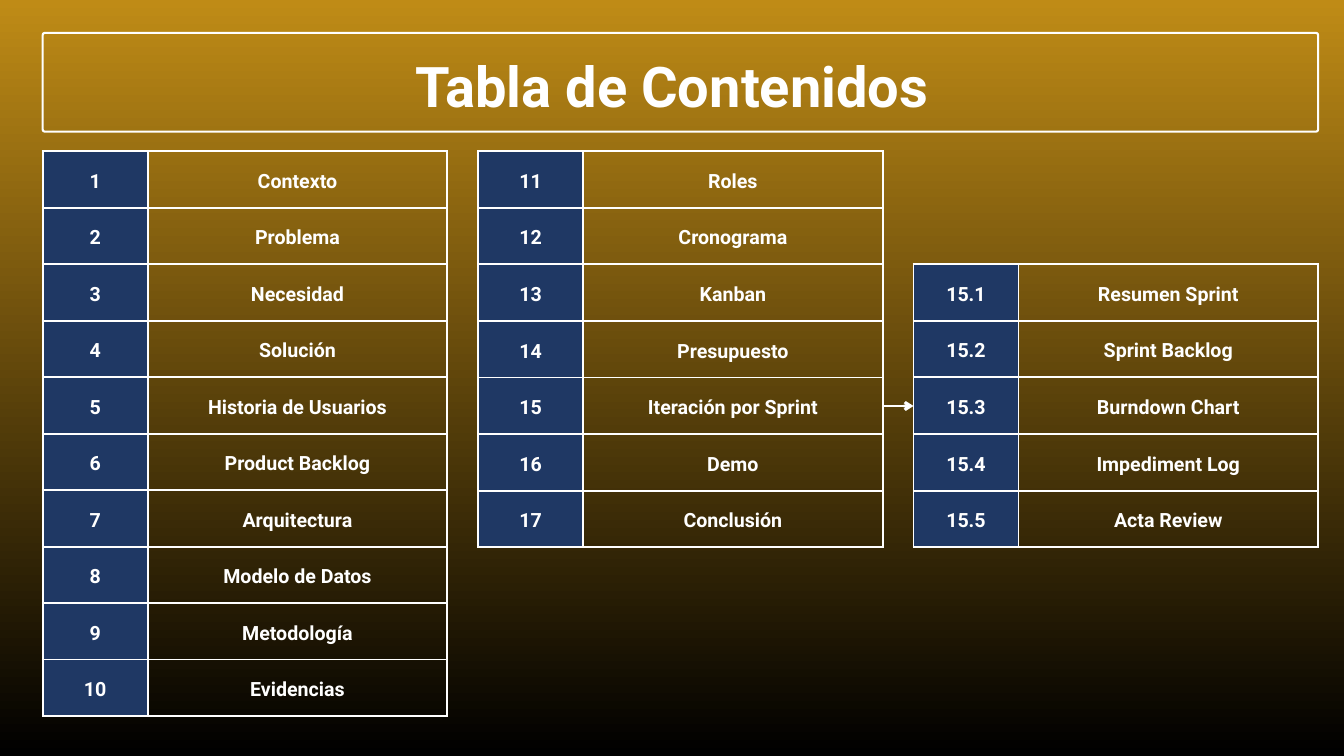
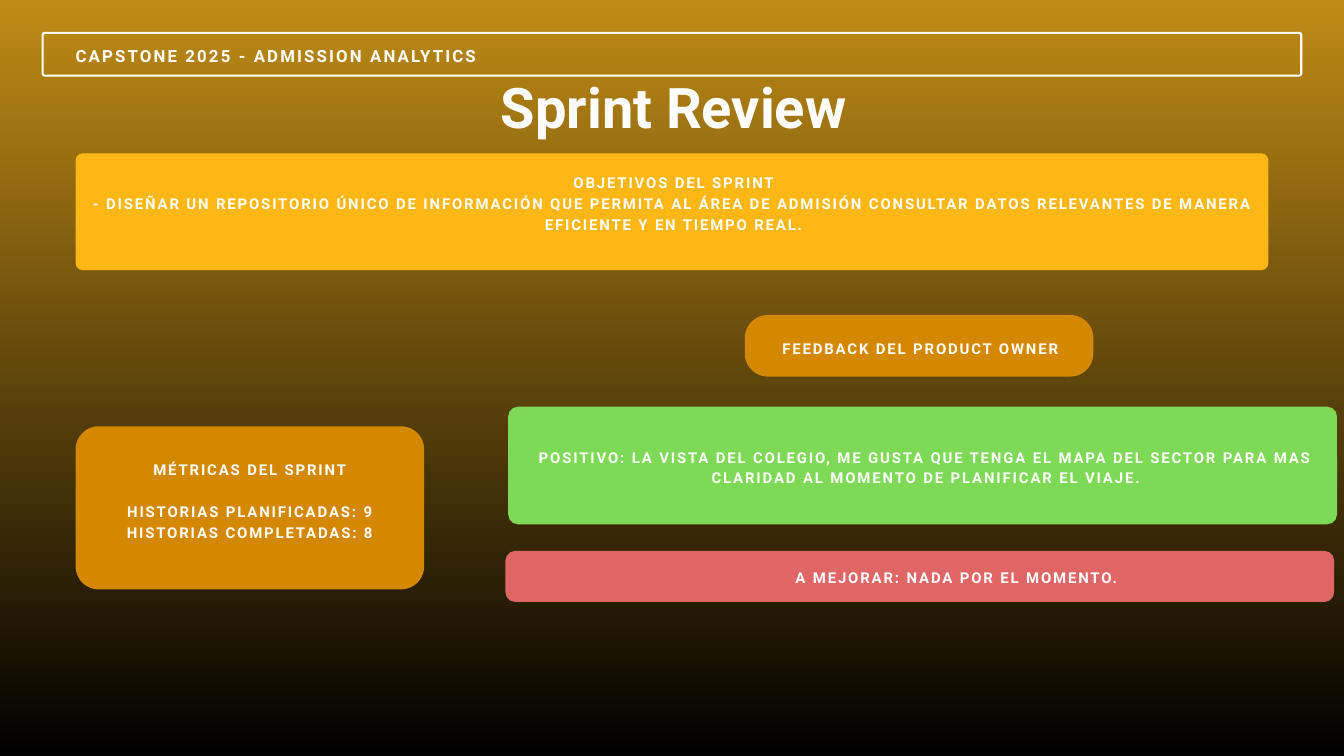
from dataclasses import dataclass, field

from lxml import etree
from pptx import Presentation
from pptx import util as u
from pptx.dml import color
from pptx.enum import shapes, text
from pptx.oxml import ns


@dataclass(frozen=True)
class Theme:
    font: str = "Roboto"
    white: str = "FFFFFF"
    night: str = "000000"
    gold: str = "BF8B16"
    navy: str = "1F3864"
    amber: str = "FFB716"
    ochre: str = "D48800"
    green: str = "7ED957"
    red: str = "E06666"
    outline: float = 2.25
    arrow: float = 3
    title: dict = field(default_factory=lambda: {"size": 60, "leading": 84, "tracking": 0})
    entry: dict = field(default_factory=lambda: {"size": 21, "leading": 29.4, "tracking": 0})
    header: dict = field(default_factory=lambda: {"size": 18, "leading": 25.2, "tracking": 2.3})
    body: dict = field(default_factory=lambda: {"size": 16, "leading": 22.4, "tracking": 2})


THEME = Theme()
CENTER = text.PP_ALIGN.CENTER


def px(count):
    return u.Emu(round(count * 9525))


def rgb(code):
    return color.RGBColor.from_string(code)


def apply(target, values):
    for name, value in values.items():
        setattr(target, name, value)


def within(box, inner):
    return (box[0] + inner[0], box[1] + inner[1], inner[2], inner[3])


def add_page(deck):
    page = deck.slides.add_slide(deck.slide_layouts[6])
    backdrop = page.background.fill
    backdrop.gradient()
    backdrop.gradient_angle = 90
    for stop, code in zip(backdrop.gradient_stops, (THEME.night, THEME.gold)):
        stop.color.rgb = rgb(code)
    for stop, position in zip(backdrop.gradient_stops, (0, 1)):
        stop.position = position
    return page


def write_line(paragraph, words, style, align=CENTER, before=0):
    apply(paragraph, {"alignment": align, "line_spacing": u.Pt(style["leading"]),
                      "space_before": u.Pt(before)})
    run = paragraph.add_run()
    run.text = words
    apply(run.font, {"name": THEME.font, "size": u.Pt(style["size"]), "bold": True})
    run.font.color.rgb = rgb(THEME.white)
    if style["tracking"]:
        run.font._element.set("spc", str(round(style["tracking"] * 100)))


def add_copy(page, box, lines, style, align=CENTER, gap_at=None):
    frame = page.shapes.add_textbox(*map(px, box)).text_frame
    apply(frame, {"word_wrap": True, "auto_size": text.MSO_AUTO_SIZE.SHAPE_TO_FIT_TEXT,
                  "margin_left": 0, "margin_right": 0, "margin_top": 0, "margin_bottom": 0})
    for index, words in enumerate(lines):
        paragraph = frame.add_paragraph() if index else frame.paragraphs[0]
        before = style["leading"] if index == gap_at else 0
        write_line(paragraph, words, style, align, before)


def add_rounded(page, box, radius, fill=None):
    panel = page.shapes.add_shape(shapes.MSO_SHAPE.ROUNDED_RECTANGLE, *map(px, box))
    panel.shadow.inherit = False
    panel.adjustments[0] = radius / min(box[2:])
    if fill:
        panel.fill.solid()
        panel.fill.fore_color.rgb = rgb(fill)
        panel.line.fill.background()
    else:
        panel.fill.background()
        panel.line.color.rgb = rgb(THEME.white)
        panel.line.width = u.Pt(THEME.outline)


def add_panel(page, box, fill, radius, inner, lines, gap_at=None):
    add_rounded(page, box, radius, fill)
    add_copy(page, within(box, inner), lines, THEME.body, gap_at=gap_at)


def add_borders(cell):
    properties = cell._tc.get_or_add_tcPr()
    for index, side in enumerate(("lnL", "lnR", "lnT", "lnB")):
        border = etree.Element(ns.qn(f"a:{side}"), w=str(u.Pt(THEME.outline)))
        solid = etree.SubElement(border, ns.qn("a:solidFill"))
        etree.SubElement(solid, ns.qn("a:srgbClr"), val=THEME.white)
        properties.insert(index, border)


def add_contents(page, box, entries):
    contents = page.shapes.add_table(len(entries), 2, *map(px, box)).table
    apply(contents, {"first_row": False, "horz_banding": False})
    number_width = 150
    for column, width in zip(contents.columns, (number_width, box[2] - number_width)):
        column.width = px(width)
    for row, entry in zip(contents.rows, entries):
        row.height = px(box[3] / len(entries))
        for cell, words, fill in zip(row.cells, entry, (THEME.navy, None)):
            apply(cell, {"vertical_anchor": text.MSO_ANCHOR.MIDDLE,
                         "margin_left": px(18), "margin_right": px(18),
                         "margin_top": px(18), "margin_bottom": px(18)})
            if fill:
                cell.fill.solid()
                cell.fill.fore_color.rgb = rgb(fill)
            else:
                cell.fill.background()
            add_borders(cell)
            write_line(cell.text_frame.paragraphs[0], words, THEME.entry)


def add_arrow(page, start, end):
    arrow = page.shapes.add_connector(shapes.MSO_CONNECTOR.STRAIGHT, *map(px, start + end))
    arrow.line.color.rgb = rgb(THEME.white)
    arrow.line.width = u.Pt(THEME.arrow)
    etree.SubElement(arrow.line._get_or_add_ln(), ns.qn("a:tailEnd"), type="arrow")
    etree.SubElement(arrow._element.spPr, ns.qn("a:effectLst"))


def numbered(names, first=1, prefix=""):
    return [(f"{prefix}{number}", name) for number, name in enumerate(names, first)]


def build_contents_page(deck):
    page = add_page(deck)
    banner = (61, 47, 1822, 141)
    add_rounded(page, banner, 3)
    add_copy(page, within(banner, (418, 10, 962, 109)), ["Tabla de Contenidos"], THEME.title)

    opening = numbered(["Contexto", "Problema", "Necesidad", "Solución", "Historia de Usuarios",
                        "Product Backlog", "Arquitectura", "Modelo de Datos", "Metodología",
                        "Evidencias"])
    closing = numbered(["Roles", "Cronograma", "Kanban", "Presupuesto", "Iteración por Sprint",
                        "Demo", "Conclusión"], 11)
    sprint = numbered(["Resumen Sprint", "Sprint Backlog", "Burndown Chart", "Impediment Log",
                       "Acta Review"], prefix="15.")
    left, width, pitch = 61, 578, 622
    columns = ((opening, 216, 807), (closing, 216, 566), (sprint, 377, 405))
    for index, (entries, top, height) in enumerate(columns):
        add_contents(page, (left + index * pitch, top, width, height), entries)
    add_arrow(page, (left + pitch + width, 580), (left + 2 * pitch, 580))


def build_review_page(deck):
    page = add_page(deck)
    header = (61, 47, 1798, 61)
    add_rounded(page, header, 3)
    add_copy(page, within(header, (47, 13, 754, 33)), ["CAPSTONE 2025 - ADMISSION ANALYTICS"],
             THEME.header, text.PP_ALIGN.LEFT)
    add_copy(page, (482, 119, 961, 84), ["Sprint Review"], {**THEME.title, "leading": 60.6})

    add_panel(page, (108, 219, 1704, 167), THEME.amber, 10, (22, 25, 1665, 115),
              ["OBJETIVOS DEL SPRINT",
               "- DISEÑAR UN REPOSITORIO ÚNICO DE INFORMACIÓN QUE PERMITA AL ÁREA DE ADMISIÓN "
               "CONSULTAR DATOS RELEVANTES DE MANERA EFICIENTE Y EN TIEMPO REAL."])
    add_panel(page, (108, 609, 498, 233), THEME.ochre, 33, (60, 45, 378, 144),
              ["MÉTRICAS DEL SPRINT", "HISTORIAS PLANIFICADAS: 9", "HISTORIAS COMPLETADAS: 8"],
              gap_at=1)
    add_panel(page, (726, 581, 1184, 168), THEME.green, 14, (26, 55, 1142, 60),
              ["POSITIVO: LA VISTA DEL COLEGIO, ME GUSTA QUE TENGA EL MAPA DEL SECTOR PARA MAS "
               "CLARIDAD AL MOMENTO DE PLANIFICAR EL VIAJE."])
    add_panel(page, (1064, 450, 498, 88), THEME.ochre, 33, (33, 31, 436, 28),
              ["FEEDBACK DEL PRODUCT OWNER"])
    add_panel(page, (722, 787, 1184, 73), THEME.red, 14, (355, 21, 579, 27),
              ["A MEJORAR: NADA POR EL MOMENTO."])


def main():
    deck = Presentation()
    apply(deck, {"slide_width": px(1920), "slide_height": px(1080)})
    build_contents_page(deck)
    build_review_page(deck)
    deck.save("out.pptx")


if __name__ == "__main__":
    main()
